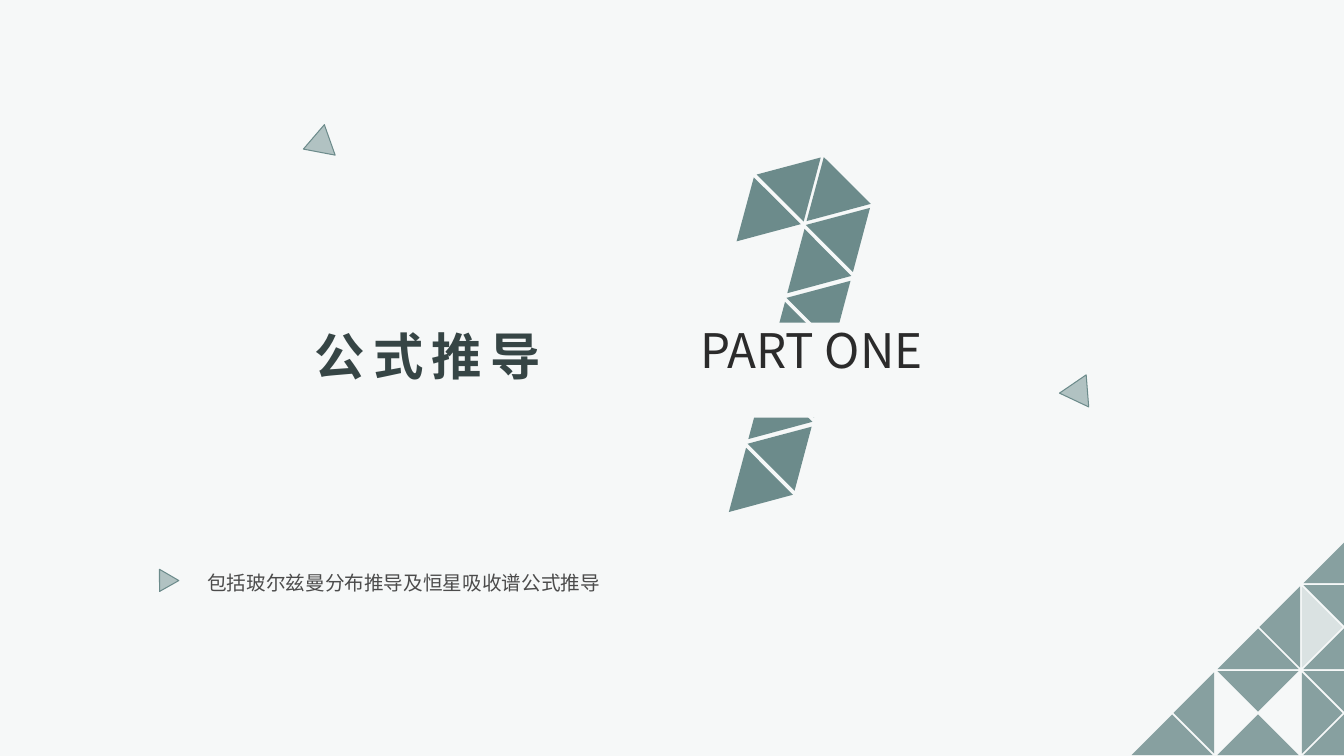
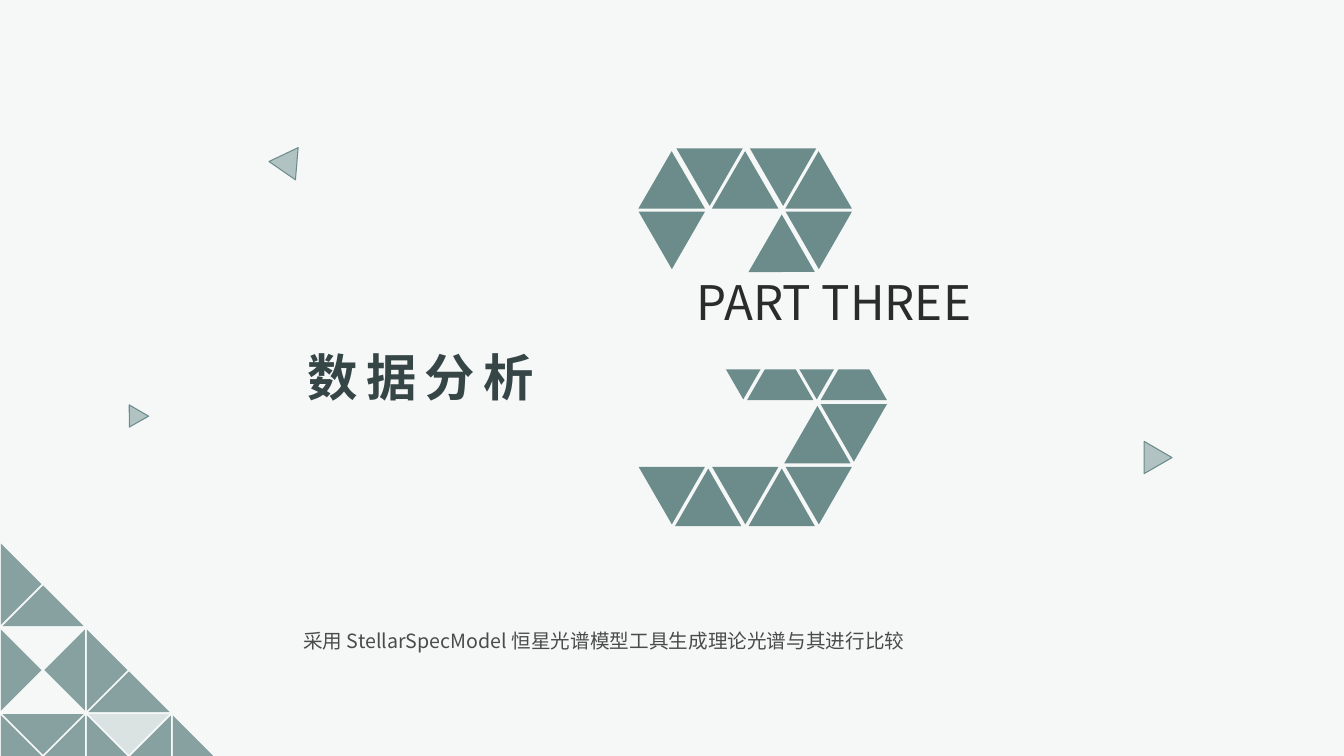
import math

from pptx import Presentation
from pptx import util as u
from pptx.dml import color
from pptx.enum import shapes, text
from pptx.oxml import ns
from lxml import etree

W, H = 960, 540
FONT = "Noto Sans CJK SC"
COLORS = {
    "paper": "F6F8F8", "teal": "6C8B8B", "mist": "B1C2C2", "pale": "DAE2E2",
    "ink": "2B2B2B", "title": "364545", "body": "4B4B4B",
}
TRIANGLE = shapes.MSO_SHAPE.ISOSCELES_TRIANGLE
CORNER_TRIANGLE = shapes.MSO_SHAPE.RIGHT_TRIANGLE


def rgb(name):
    return color.RGBColor.from_string(COLORS[name])


def write(tf, words, *, size, ink, bold=False, tracking=0,
          align=text.PP_ALIGN.LEFT, line_spacing=None, wrap=True):
    """Put one formatted paragraph into a text frame."""
    tf.word_wrap = wrap
    tf.vertical_anchor = text.MSO_ANCHOR.TOP
    p = tf.paragraphs[0]
    p.alignment = align
    if line_spacing:
        p.line_spacing = line_spacing
    r = p.add_run()
    r.text = words
    r.font.size = u.Pt(size)
    r.font.bold = bold
    r.font.name = FONT
    r.font.color.rgb = rgb(ink)
    rpr = r._r.get_or_add_rPr()
    etree.SubElement(rpr, ns.qn("a:ea")).set("typeface", FONT)
    if tracking:
        rpr.set("spc", str(tracking * 100))


class Deck:
    # Lattice of the corner ornament: column, row, rotation, fill
    CORNER = [
        (-4, 0, 135, "teal"), (-2, 0, 135, "teal"), (0, 0, 135, "teal"),
        (-3, -1, 45, "teal"), (-1, -1, 225, "teal"),
        (0, -2, 315, "teal"), (-2, -2, 315, "teal"),
        (-2, -2, 135, "teal"), (0, -2, 135, "teal"),
        (-1, -3, 45, "teal"), (-1, -3, 225, "pale"),
        (0, -4, 315, "teal"), (0, -4, 135, "teal"),
    ]
    CORNER_PITCH, CORNER_SIDE, CORNER_GAP = 30.7, 41, 0.7

    def __init__(self):
        self.prs = Presentation()
        self.prs.slide_width, self.prs.slide_height = u.Pt(W), u.Pt(H)
        self.s = None

    def new_slide(self):
        self.s = self.prs.slides.add_slide(self.prs.slide_layouts[6])
        self.s.background.fill.solid()
        self.s.background.fill.fore_color.rgb = rgb("paper")

    def shape(self, kind, x, y, w, h, fill, rotation=0, line=None, alpha=None):
        sp = self.s.shapes.add_shape(kind, u.Pt(x), u.Pt(y), u.Pt(w), u.Pt(h))
        sp.shadow.inherit = False
        sp.rotation = rotation
        sp.fill.solid()
        sp.fill.fore_color.rgb = rgb(fill)
        if alpha:
            clr = sp._element.spPr.find(".//" + ns.qn("a:srgbClr"))
            etree.SubElement(clr, ns.qn("a:alpha")).set("val", str(alpha * 1000))
        if line:
            sp.line.color.rgb = rgb(line)
            sp.line.width = u.Pt(0.75)
        else:
            sp.line.fill.background()
        return sp

    def digit(self, tiles):
        for x, y, rotation in tiles:
            self.shape(TRIANGLE, x, y, 47.5, 41, "teal", rotation)

    def accents(self, items):
        for x, y, w, h, rotation in items:
            self.shape(TRIANGLE, x, y, w, h, "mist", rotation, line="teal")

    def band(self, words, x, y, w):
        sp = self.shape(shapes.MSO_SHAPE.RECTANGLE, x, y, w, 68, "paper")
        write(sp.text_frame, words, size=34, ink="ink",
              align=text.PP_ALIGN.CENTER, line_spacing=0.9)

    def label(self, words, x, y, w, h, **style):
        tb = self.s.shapes.add_textbox(u.Pt(x), u.Pt(y), u.Pt(w), u.Pt(h))
        write(tb.text_frame, words, **style)

    def title(self, words, x, y):
        self.label(words, x, y, 182, 51, size=36, ink="title", bold=True,
                   tracking=6, align=text.PP_ALIGN.CENTER, wrap=False)

    def summary(self, words, x, y):
        self.label(words, x, y, 645, 24.5, size=14, ink="body")

    def corner(self, left=False):
        """Fill a bottom corner; the left one is a quarter turn of the right."""
        side = self.CORNER_SIDE
        for col, row, rotation, fill in self.CORNER:
            # Each tile moves slightly towards its right angle
            tip = math.radians(rotation + 135)
            x = col * self.CORNER_PITCH + self.CORNER_GAP * math.cos(tip)
            y = row * self.CORNER_PITCH + self.CORNER_GAP * math.sin(tip)
            if left:
                x, y, rotation = -y, x, (rotation + 90) % 360
            self.shape(CORNER_TRIANGLE, (0 if left else W) + x - side / 2,
                       H + y - side / 2, side, side, fill, rotation,
                       alpha=80 if fill == "teal" else None)


# Digit one: a hooked head, then a stem of repeated pairs
one = [(520, 126, 345), (548, 106.5, 45), (570, 111.5, 345)]
for i in range(4):
    dx, dy = -13.9 * i, 52.1 * i
    one += [(583.2 + dx, 142.5 + dy, 45), (564.5 + dx, 171.3 + dy, 105)]

# Digit three: rows of rotation, top, first left, columns
THREE_PITCH = 52.5
THREE_ROWS = [
    (0, 108, 456, (0, 1, 2)), (60, 95.8, 489, (0, 1)),
    (60, 141, 462, (0, 2)), (120, 163.5, 540.5, (0,)),
    (60, 186.5, 539.5, (0,)), (120, 209.5, 514, (0,)),
    (60, 234, 513, (0, 1)), (120, 255, 539.5, (0, 1)),
    (60, 278.5, 592, (0,)), (120, 300.2, 566, (0,)),
    (60, 323.3, 462, (0, 1, 2)), (120, 345, 488, (0, 1)),
]
three = [(first + THREE_PITCH * c, top, rotation)
         for rotation, top, first, cols in THREE_ROWS for c in cols]

deck = Deck()

# Section one
deck.new_slide()
deck.digit(one)
deck.accents([(220.3, 94.3, 23, 20, 130.7), (755.3, 270, 23, 20, 265.5),
              (109.4, 409.7, 16, 13.7, 210.2)])
deck.band("PART ONE", 476.6, 230.4, 206)
deck.title("公式推导", 214.5, 229)
deck.summary("包括玻尔兹曼分布推导及恒星吸收谱公式推导", 141, 404)
deck.corner()

# Section three
deck.new_slide()
deck.digit(three)
deck.accents([(195.8, 103.7, 23, 20, 34.7), (810.7, 319.7, 23, 20, 210.2),
              (87.8, 292.3, 16, 13.7, 210.2)])
deck.band("PART THREE", 480.2, 195.8, 231)
deck.title("数据分析", 209.5, 244)
deck.summary("采用 StellarSpecModel 恒星光谱模型工具生成理论光谱与其进行比较", 209.5, 445.7)
deck.corner(left=True)

deck.prs.save("out.pptx")
